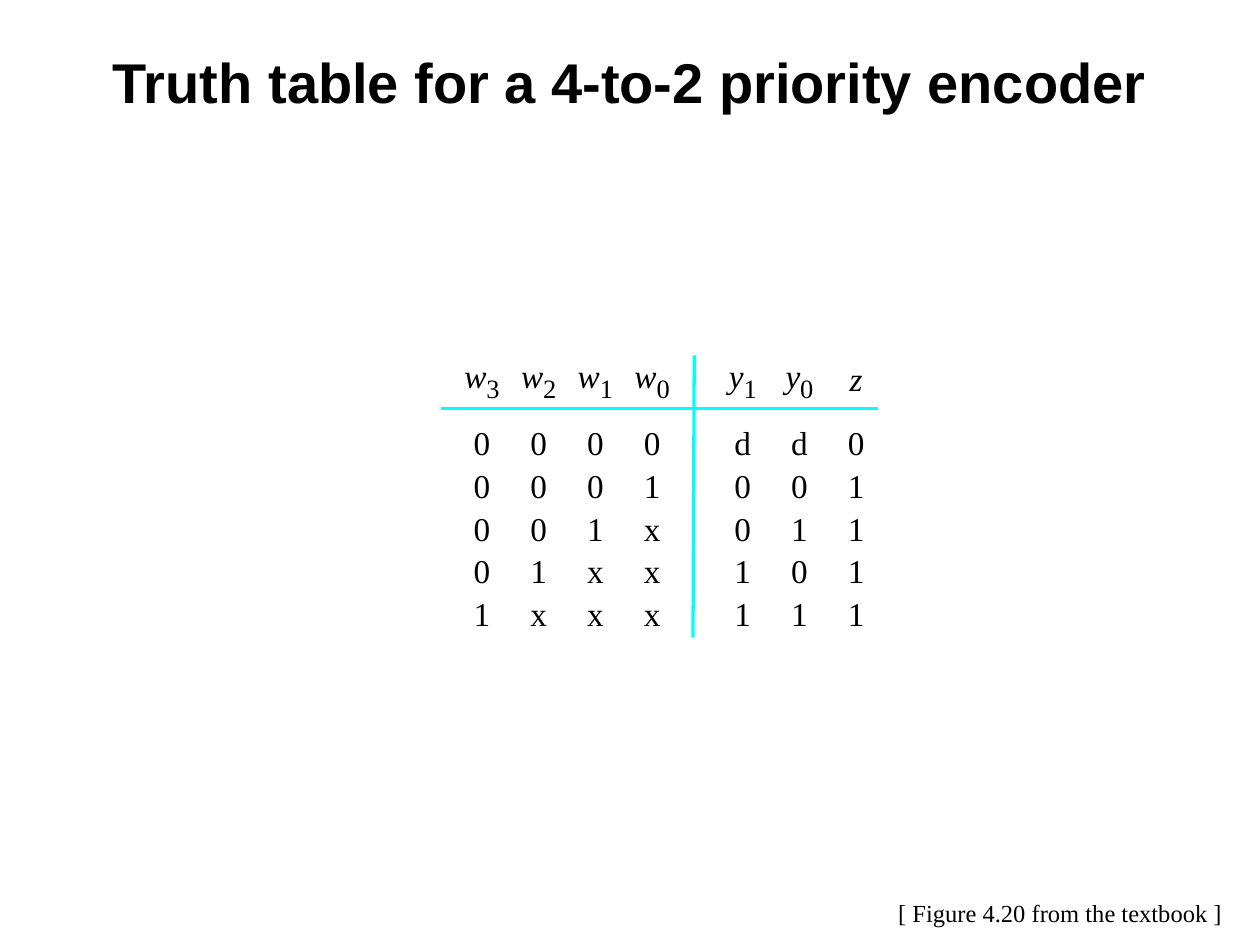
from dataclasses import dataclass

from lxml.etree import SubElement
from pptx import Presentation
from pptx.dml.color import RGBColor
from pptx.enum.shapes import MSO_CONNECTOR
from pptx.enum.text import MSO_ANCHOR, PP_ALIGN
from pptx.oxml.ns import qn
from pptx.util import Inches, Pt


@dataclass(frozen=True)
class Theme:
    ink: str = "000000"
    rule: str = "00FFFF"
    rule_width: float = 1.87
    title_font: str = "Arial"
    body_font: str = "Times New Roman"
    title_size: int = 32
    table_size: int = 19
    subscript_size: int = 26  # drawn at 58 %, about 15 pt
    subscript_line: int = 28
    caption_size: int = 14


THEME = Theme()
NO_STYLE = "{2D5ABB26-0587-4C30-8999-92F81FD0307C}"

SIGNALS = ["w3", "w2", "w1", "w0", "y1", "y0", "z"]
INPUT_COUNT = 4
ROWS = ["0000dd0", "0001001", "001x011", "01xx101", "1xxx111"]

# Truth table grid: inner column width, with side gaps by the rules
COLUMN = 0.45
EDGE_GAP = 0.1
OUTPUT_GAP = 0.17
HEADER_HEIGHT = 0.42
ROW_HEIGHT = 0.34
RULE_GAP = 0.14
PLAIN_NAME_GAP = 0.05


def add_text(paragraph, text, *, size, font=THEME.body_font, bold=False,
             italic=False, subscript=False, align=None):
    run = paragraph.add_run()
    run.text = text
    run.font.size = Pt(size)
    run.font.name = font
    run.font.bold = bold
    run.font.italic = italic
    run.font.color.rgb = RGBColor.from_string(THEME.ink)
    if subscript:
        run._r.get_or_add_rPr().set("baseline", "-22000")
        paragraph.line_spacing = Pt(THEME.subscript_line)
    if align is not None:
        paragraph.alignment = align


def add_rule(slide, x1, y1, x2, y2):
    rule = slide.shapes.add_connector(
        MSO_CONNECTOR.STRAIGHT, *map(Inches, (x1, y1, x2, y2)))
    rule.line.color.rgb = RGBColor.from_string(THEME.rule)
    rule.line.width = Pt(THEME.rule_width)
    SubElement(rule._element.spPr, qn("a:effectLst"))


def add_title(slide, left, top, width, height):
    title = slide.shapes.title
    title.left, title.top = Inches(left), Inches(top)
    title.width, title.height = Inches(width), Inches(height)
    title.text_frame.vertical_anchor = MSO_ANCHOR.TOP
    add_text(title.text_frame.paragraphs[0],
             "Truth table for a 4-to-2 priority encoder",
             size=THEME.title_size, font=THEME.title_font, bold=True,
             align=PP_ALIGN.CENTER)


def column_gaps(column):
    """Left and right gap of a column around its centred value."""
    left = {0: EDGE_GAP, INPUT_COUNT: OUTPUT_GAP}.get(column, 0)
    right = EDGE_GAP if column == INPUT_COUNT - 1 else 0
    return left, right


def top_gap(row, value):
    if row == 0:
        return 0 if value[1:] else PLAIN_NAME_GAP
    return RULE_GAP if row == 1 else 0


def add_truth_table(slide, left, top, width, height):
    # Rules under the names and between inputs and outputs
    widths = [COLUMN + sum(column_gaps(c)) for c in range(len(SIGNALS))]
    rule_y = top + HEADER_HEIGHT
    rule_x = left + sum(widths[:INPUT_COUNT])
    add_rule(slide, left, rule_y, left + width, rule_y)
    add_rule(slide, rule_x, top + height, rule_x + 0.01, top)

    heights = [HEADER_HEIGHT, ROW_HEIGHT + RULE_GAP]
    heights += [ROW_HEIGHT] * (len(ROWS) - 1)
    table = slide.shapes.add_table(
        len(heights), len(widths), Inches(left), Inches(top),
        Inches(sum(widths)), Inches(sum(heights))).table

    # Plain style, sized grid
    table.first_row = table.horz_banding = False
    table._tbl.tblPr.find(qn("a:tableStyleId")).text = NO_STYLE
    for column, column_width in zip(table.columns, widths):
        column.width = Inches(column_width)
    for row, row_height in zip(table.rows, heights):
        row.height = Inches(row_height)

    # Signal names above, values below
    for r, values in enumerate([SIGNALS, *ROWS]):
        for c, value in enumerate(values):
            cell = table.cell(r, c)
            cell.fill.background()
            cell.margin_left, cell.margin_right = map(Inches, column_gaps(c))
            cell.margin_top = Inches(top_gap(r, value))
            cell.margin_bottom = 0
            paragraph = cell.text_frame.paragraphs[0]
            add_text(paragraph, value[0], size=THEME.table_size,
                     italic=r == 0, align=PP_ALIGN.CENTER)
            if value[1:]:
                add_text(paragraph, value[1:], size=THEME.subscript_size,
                         subscript=True)


def add_caption(slide, left, top, width, height):
    caption = slide.shapes.add_textbox(
        Inches(left), Inches(top), Inches(width), Inches(height))
    caption.text_frame.word_wrap = False
    add_text(caption.text_frame.paragraphs[0],
             "[ Figure 4.20 from the textbook ]", size=THEME.caption_size)


def main():
    deck = Presentation()
    deck.slide_width, deck.slide_height = Inches(10), Inches(7.5)
    slide = deck.slides.add_slide(deck.slide_layouts[5])
    add_title(slide, 0, 0.33, 10, 0.75)
    add_truth_table(slide, 3.5, 2.82, 3.47, 2.24)
    add_caption(slide, 7.03, 7.08, 2.77, 0.34)
    deck.save("out.pptx")


if __name__ == "__main__":
    main()
